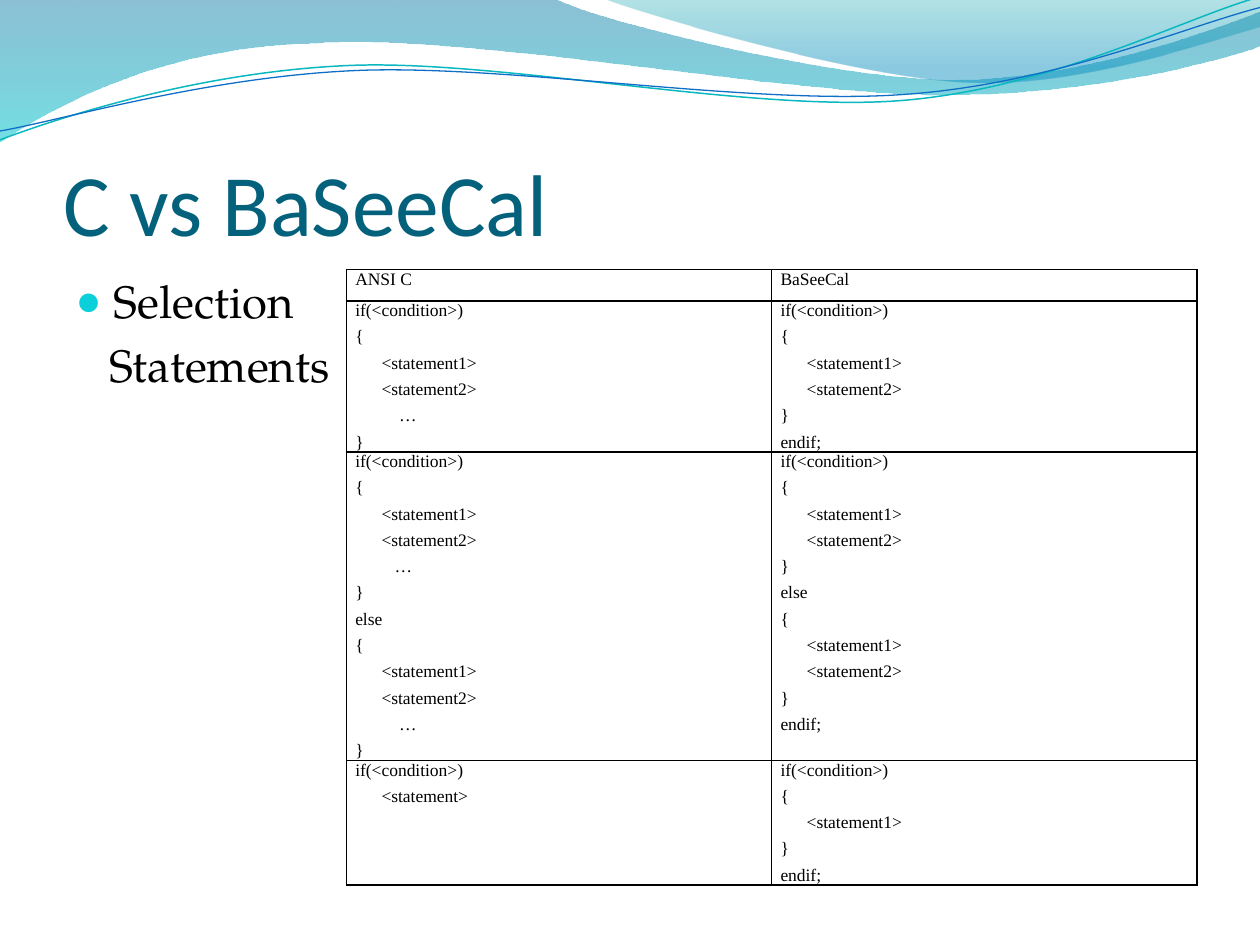
import math

import pptx
import pptx.util
import pptx.dml.color
import pptx.enum.text
import pptx.oxml
import pptx.oxml.ns

RGBColor = pptx.dml.color.RGBColor
ALIGN = pptx.enum.text.PP_ALIGN
ANCHOR = pptx.enum.text.MSO_ANCHOR
Inches, Pt = pptx.util.Inches, pptx.util.Pt
qn = pptx.oxml.ns.qn

BLACK = RGBColor(0x00, 0x00, 0x00)
TITLE_BLUE = RGBColor(0x04, 0x61, 0x7B)
BULLET_CYAN = RGBColor(0x0B, 0xD0, 0xD9)
LINE_TEAL = RGBColor(0x0A, 0xB8, 0xBF)
LINE_BLUE = RGBColor(0x0F, 0x6F, 0xC6)
DEEP_BLUE = RGBColor(0x00, 0x74, 0xA1)
AQUA = RGBColor(0x00, 0xC6, 0xCF)
SEA_GREEN = RGBColor(0x00, 0xA1, 0xA9)
SKY_BLUE = RGBColor(0x00, 0x8B, 0xBF)

# Code lines are (indent in points, text)
INDENT, DOTS = 15, "…"
IF, ELSE, ENDIF = (0, "if(<condition>)"), (0, "else"), (0, "endif;")
OPEN, CLOSE = (0, "{"), (0, "}")
FIRST, SECOND = (INDENT, "<statement1>"), (INDENT, "<statement2>")
BLOCK = [OPEN, FIRST, SECOND, CLOSE]


def c_block(dots_indent):
    """Return a C block whose statement list ends in dots."""
    return [OPEN, FIRST, SECOND, (dots_indent, DOTS), CLOSE]


COMPARISON = [
    (0.25, [(0, "ANSI C")], [(0, "BaSeeCal")]),
    (1.15, [IF, *c_block(25)], [IF, *BLOCK, ENDIF]),
    (2.35, [IF, *c_block(22.5), ELSE, *c_block(25)],
     [IF, *BLOCK, ELSE, *BLOCK, ENDIF]),
    (0.95, [IF, (INDENT, "<statement>")], [IF, OPEN, FIRST, CLOSE, ENDIF]),
]

# A pair is a straight segment, a six-tuple a Bezier curve, in inches.
# Gradient stops are (position, colour, opacity in percent).
BANDS = [
    ([(0, 0), (4.4, -0.01), (4.76, 0.17, 6.64, 0.63, 7.58, 0.63),
      (8.53, 0.63, 9.58, 0.26, 10, 0.09), (10.01, 0.36),
      (9.83, 0.44, 8.7, 0.76, 7.46, 0.75), (6.22, 0.75, 3.82, 0.28, 2.57, 0.34),
      (1.29, 0.36, 0.46, 0.83, -0.01, 1.13), (0, 0)],
     [(0, DEEP_BLUE, 45), (1, AQUA, 55)]),
    ([(4.79, -0.01), (5.09, 0.11, 6.82, 0.62, 7.69, 0.65),
      (8.56, 0.69, 9.61, 0.32, 10, 0.21), (10, 0), (4.79, -0.01)],
     [(0, SEA_GREEN, 30), (0.8, SKY_BLUE, 45)]),
]
TILT = 2.7  # degrees anticlockwise
STRANDS = [
    ([(0, 1.11), (0.48, 0.93, 1.58, 0.57, 2.77, 0.52),
      (3.95, 0.47, 5.93, 0.89, 7.13, 0.8), (8.33, 0.71, 9.38, 0.15, 9.98, -0.02)],
     (4.99, 0.57), LINE_TEAL, 0.85),
    ([(0, 1.04), (0.47, 0.96, 1.64, 0.61, 2.83, 0.56),
      (4.03, 0.51, 5.97, 0.84, 7.17, 0.75), (8.36, 0.67, 9.41, 0.21, 10, 0.06)],
     (5, 0.59), LINE_BLUE, 0.75),
]


def sub(parent, tag, **attributes):
    """Append a DrawingML child with attributes and return it."""
    child = pptx.oxml.parse_xml(f'<{tag} {pptx.oxml.ns.nsdecls("a")}/>')
    for name, value in attributes.items():
        child.set(name, str(value))
    parent.append(child)
    return child


def level(segments, centre):
    """Turn segments clockwise by the tilt around a centre."""
    cos, sin = math.cos(math.radians(TILT)), math.sin(math.radians(TILT))
    turned = []
    for segment in segments:
        offsets = [(x - centre[0], y - centre[1])
                   for x, y in zip(segment[::2], segment[1::2])]
        turned.append(tuple(value for x, y in offsets
                            for value in (centre[0] + x * cos - y * sin,
                                          centre[1] + x * sin + y * cos)))
    return turned


def add_wave(slide, segments, close):
    """Draw an outline of lines and Bezier curves and return its shape."""
    start, *anchors = [(Inches(s[-2]), Inches(s[-1])) for s in segments]
    builder = slide.shapes.build_freeform(*start, scale=1.0)
    builder.add_line_segments(anchors, close=close)
    wave = builder.convert_to_shape()
    wave.shadow.inherit = False
    lines = list(wave._element.iter(qn("a:lnTo")))
    for line, segment in zip(lines, segments[1:]):
        if len(segment) == 6:
            curve = sub(line.getparent(), "a:cubicBezTo")
            for x, y in zip(segment[::2], segment[1::2]):
                sub(curve, "a:pt", x=Inches(x) - wave.left, y=Inches(y) - wave.top)
            line.getparent().replace(line, curve)
    return wave


def add_band(slide, segments, stops):
    """Draw a translucent band with a gradient running downwards."""
    band = add_wave(slide, segments, True)
    band.line.fill.background()
    band.fill.gradient()
    band.fill.gradient_angle = 270
    for stop, (position, colour, opacity) in zip(band.fill.gradient_stops, stops):
        stop.position = position
        stop.color.rgb = colour
        sub(stop._gs[0], "a:alpha", val=opacity * 1000)


def add_strand(slide, segments, centre, colour, width):
    """Draw a thin curved line, tilted around its centre."""
    strand = add_wave(slide, level(segments, centre), False)
    strand.rotation = 360 - TILT
    strand.fill.background()
    strand.line.color.rgb = colour
    strand.line.width = Pt(width)


def write(paragraph, text, *, font, size, colour=BLACK, align=ALIGN.LEFT,
          before=0, after=0, left=0, hanging=0, bullet=None):
    """Fill a paragraph; left and hanging indents are in points."""
    paragraph.alignment = align
    paragraph.space_before, paragraph.space_after = Pt(before), Pt(after)
    properties = paragraph._p.get_or_add_pPr()
    properties.set("marL", str(Pt(left)))
    properties.set("indent", str(-Pt(hanging)))
    if bullet:
        sub(sub(properties, "a:buClr"), "a:srgbClr", val=BULLET_CYAN)
        sub(properties, "a:buSzPct", val=95000)
        sub(properties, "a:buChar", char=bullet)
    else:
        sub(properties, "a:buNone")
    run = paragraph.add_run()
    run.text = text
    run.font.name, run.font.size = font, Pt(size)
    run.font.color.rgb = colour


def write_lines(frame, lines, **style):
    """Write one paragraph per (indent, text) line."""
    for number, (left, text) in enumerate(lines):
        paragraph = frame.add_paragraph() if number else frame.paragraphs[0]
        write(paragraph, text, left=left, **style)


def place(shape, left, top, width, height):
    """Put a shape at a position given in inches."""
    shape.left, shape.top = Inches(left), Inches(top)
    shape.width, shape.height = Inches(width), Inches(height)


def format_cell(cell):
    """Give a cell its margins, no fill and thin black borders."""
    cell.margin_left = cell.margin_right = Inches(0.07)
    cell.margin_top = cell.margin_bottom = 0
    cell.fill.background()
    properties = cell._tc.get_or_add_tcPr()
    for position, side in enumerate("LRTB"):
        border = sub(properties, f"a:ln{side}", w=Pt(1))
        sub(sub(border, "a:solidFill"), "a:srgbClr", val=BLACK)
        properties.insert(position, border)


def add_comparison(slide):
    """Add the table that sets both languages side by side."""
    heights = [row[0] for row in COMPARISON]
    table = slide.shapes.add_table(len(COMPARISON), 2, Inches(2.75), Inches(2.14),
                                   Inches(6.75), Inches(sum(heights))).table
    table.first_row = table.horz_banding = False
    for row, (height, *codes) in enumerate(COMPARISON):
        table.rows[row].height = Inches(height)
        for column, code in enumerate(codes):
            cell = table.cell(row, column)
            format_cell(cell)
            write_lines(cell.text_frame, code, font="Times New Roman", size=10,
                        align=ALIGN.JUSTIFY, after=4)


deck = pptx.Presentation()
deck.slide_width, deck.slide_height = Inches(10), Inches(7.5)
slide = deck.slides.add_slide(deck.slide_layouts[1])
heading, topic = slide.placeholders

for band in BANDS:
    add_band(slide, *band)
for strand in STRANDS:
    add_strand(slide, *strand)
for placeholder in (heading, topic):
    slide.shapes._spTree.append(placeholder._element)

place(heading, 0.5, 0.77, 9, 1.25)
heading.text_frame.vertical_anchor = ANCHOR.BOTTOM
heading.text_frame.margin_left = heading.text_frame.margin_right = 0
heading.text_frame.margin_bottom = 0
write(heading.text_frame.paragraphs[0], "C vs BaSeeCal",
      font="Calibri", size=50, colour=TITLE_BLUE)

place(topic, 0.5, 2.12, 9, 4.8)
topic_style = dict(font="TeX Gyre Pagella", size=26, before=5.2)
write(topic.text_frame.paragraphs[0], "Selection", left=21.6, hanging=21.6,
      bullet="●", **topic_style)
write(topic.text_frame.add_paragraph(), "Statements", left=19.5, **topic_style)

add_comparison(slide)
deck.save("out.pptx")
